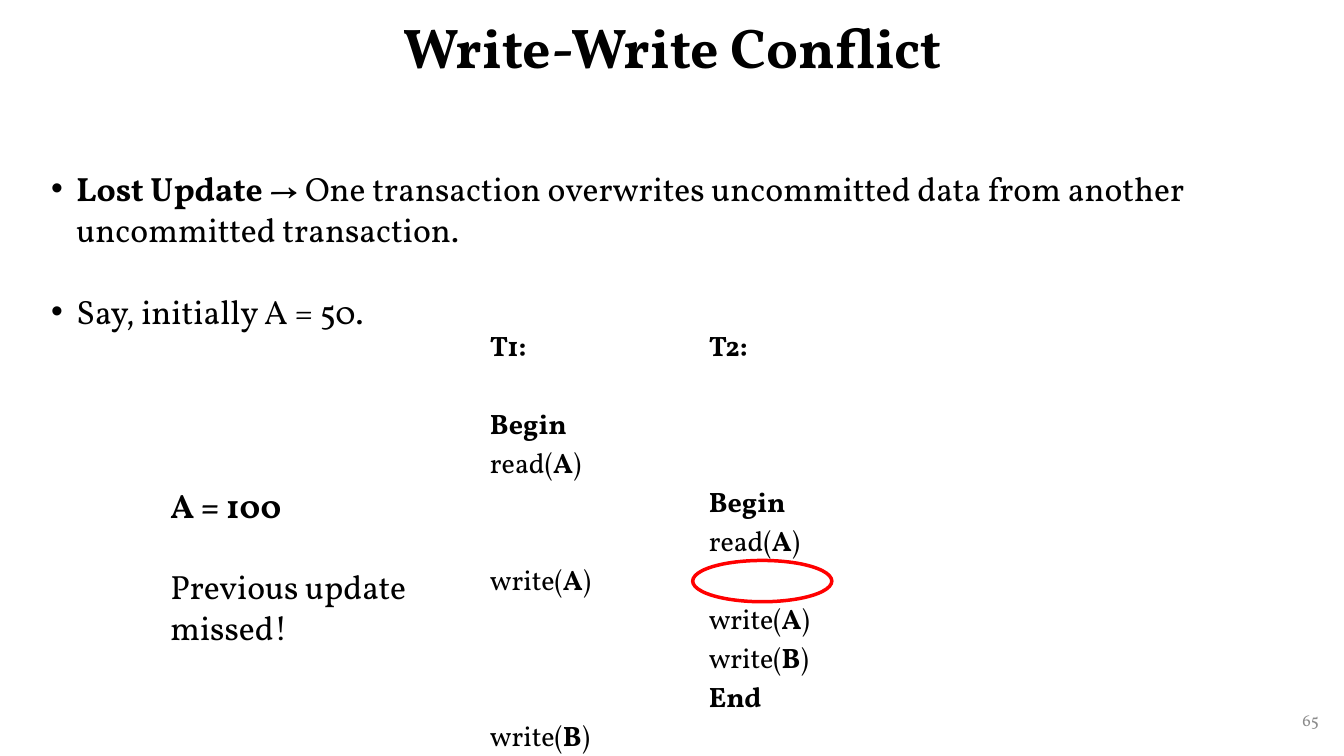
from pptx import Presentation
from pptx.dml.color import RGBColor
from pptx.enum.shapes import MSO_SHAPE
from pptx.enum.text import MSO_ANCHOR, PP_ALIGN
from pptx.oxml.ns import qn
from pptx.util import Inches, Pt
from lxml.etree import SubElement

FONT = "Vollkorn"
TABLE_PITCH = 27.9
TEXT_PITCH = 29.2

# Each step is (line in the schedule, text); ** switches bold on and off.
T1_STEPS = [(0, "**T1:**"), (2, "**Begin**"), (3, "read(**A**)"),
            (6, "write(**A**)"), (10, "write(**B**)")]
T2_STEPS = [(0, "**T2:**"), (4, "**Begin**"), (5, "read(**A**)"),
            (7, "write(**A**)"), (8, "write(**B**)"), (9, "**End**")]


def color(value):
    return RGBColor.from_string(value)


def write_spans(para, text, size, ink="000000"):
    """Write text into para, with the parts between ** in bold."""
    for index, part in enumerate(text.split("**")):
        if part:
            span = para.add_run()
            span.text = part
            span.font.name = FONT
            span.font.size = Pt(size)
            span.font.bold = index % 2 == 1
            span.font.color.rgb = color(ink)


def write_lines(frame, lines, size, pitch):
    """Write (line number, text) pairs on a fixed line grid."""
    previous = -1
    for index, (number, text) in enumerate(lines):
        para = frame.add_paragraph() if index else frame.paragraphs[0]
        para.line_spacing = Pt(pitch)
        para.space_before = Pt((number - previous - 1) * pitch)
        write_spans(para, text, size)
        previous = number


def add_box(slide, left, top, width, height, anchor=MSO_ANCHOR.TOP):
    box = slide.shapes.add_textbox(Inches(left), Inches(top), Inches(width), Inches(height))
    frame = box.text_frame
    frame.word_wrap = True
    frame.vertical_anchor = anchor
    return frame


def add_label(slide, area, text, size, align, ink="000000"):
    frame = add_box(slide, *area, anchor=MSO_ANCHOR.MIDDLE)
    para = frame.paragraphs[0]
    para.alignment = align
    para.line_spacing = 0.9
    write_spans(para, text, size, ink)


def add_text(slide, area, lines, bulleted=False):
    frame = add_box(slide, *area)
    frame.margin_top = Inches(0.11)
    write_lines(frame, lines, 24, TEXT_PITCH)
    if bulleted:
        for para in frame.paragraphs:
            add_bullet(para)


def add_bullet(para):
    properties = para._p.get_or_add_pPr()
    properties.set("marL", str(Inches(0.25)))
    properties.set("indent", str(-Inches(0.25)))
    SubElement(properties, qn("a:buFont")).set("typeface", "Arial")
    SubElement(properties, qn("a:buChar")).set("char", "•")


def add_schedule(slide, columns, widths):
    frame = slide.shapes.add_table(1, len(columns), Inches(4.76), Inches(3.22),
                                   Inches(sum(widths)), Inches(4.2))
    table = frame.table
    table.first_row = False
    table.horz_banding = False
    for index, (steps, width) in enumerate(zip(columns, widths)):
        table.columns[index].width = Inches(width)
        cell = table.cell(0, index)
        cell.fill.background()
        write_lines(cell.text_frame, steps, 20, TABLE_PITCH)


def add_ring(slide, left, top, width, height):
    ring = slide.shapes.add_shape(MSO_SHAPE.OVAL, Inches(left), Inches(top),
                                  Inches(width), Inches(height))
    ring.shadow.inherit = False
    ring.fill.background()
    ring.line.color.rgb = color("FF0000")
    ring.line.width = Pt(2.5)


def main():
    deck = Presentation()
    deck.slide_width = Inches(13.33)
    deck.slide_height = Inches(7.5)
    slide = deck.slides.add_slide(deck.slide_layouts[6])

    add_label(slide, (0.92, 0, 11.5, 0.99), "**Write-Write Conflict**", 40, PP_ALIGN.CENTER)
    add_label(slide, (10.18, 6.95, 3, 0.4), "65", 12, PP_ALIGN.RIGHT, "8C8C8C")
    add_text(slide, (0.41, 1.55, 12.92, 1.8), [
        (0, "**Lost Update **→ One transaction overwrites uncommitted data "
            "from another uncommitted transaction."),
        (2, "Say, initially A = 50."),
    ], bulleted=True)
    add_schedule(slide, [T1_STEPS, T2_STEPS], [2.17, 2.05])
    add_ring(slide, 6.87, 5.56, 1.38, 0.41)
    add_text(slide, (1.59, 4.69, 2.69, 1.72),
             [(0, "**A = 100**"), (2, "Previous update missed!")])

    deck.save("out.pptx")


if __name__ == "__main__":
    main()
